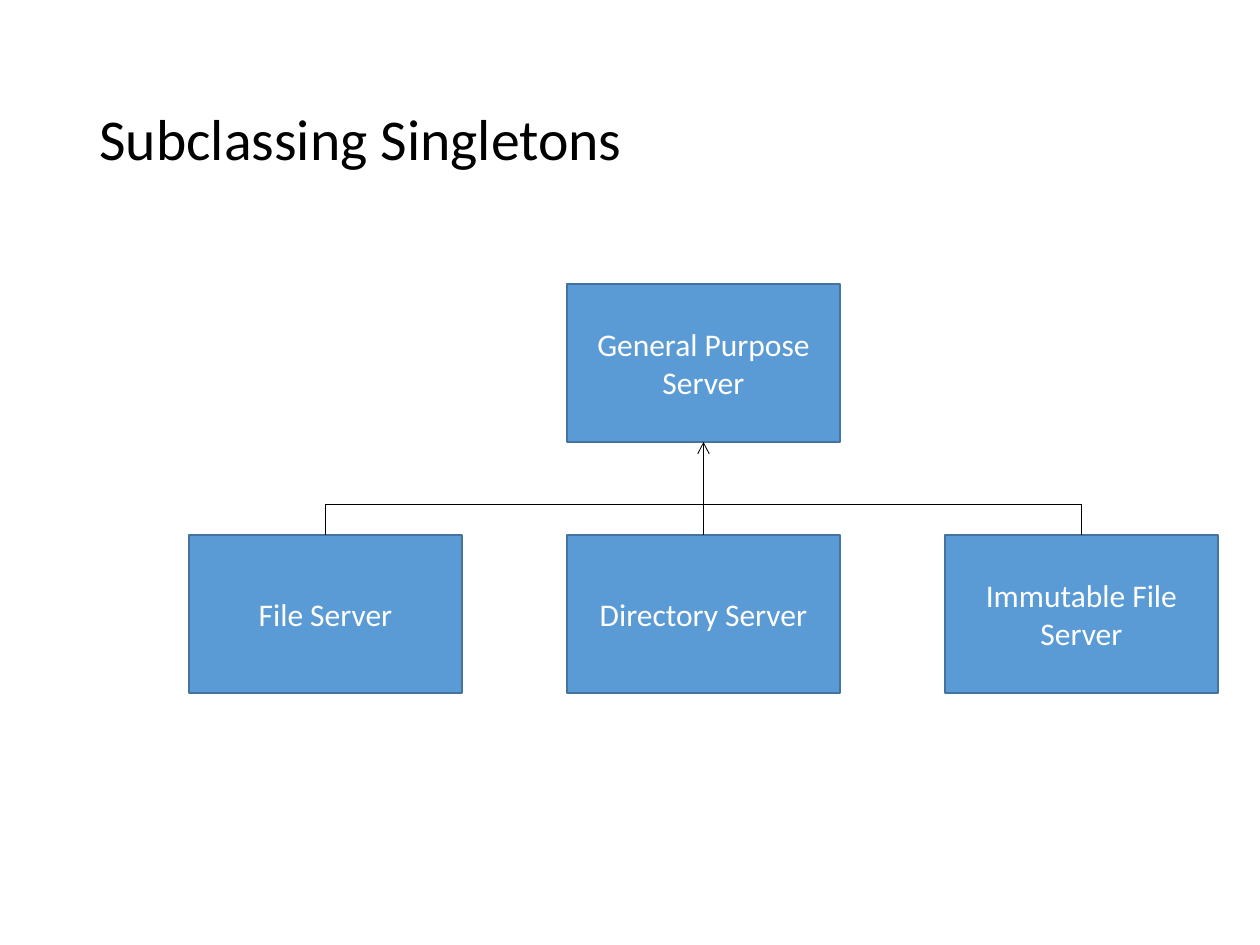
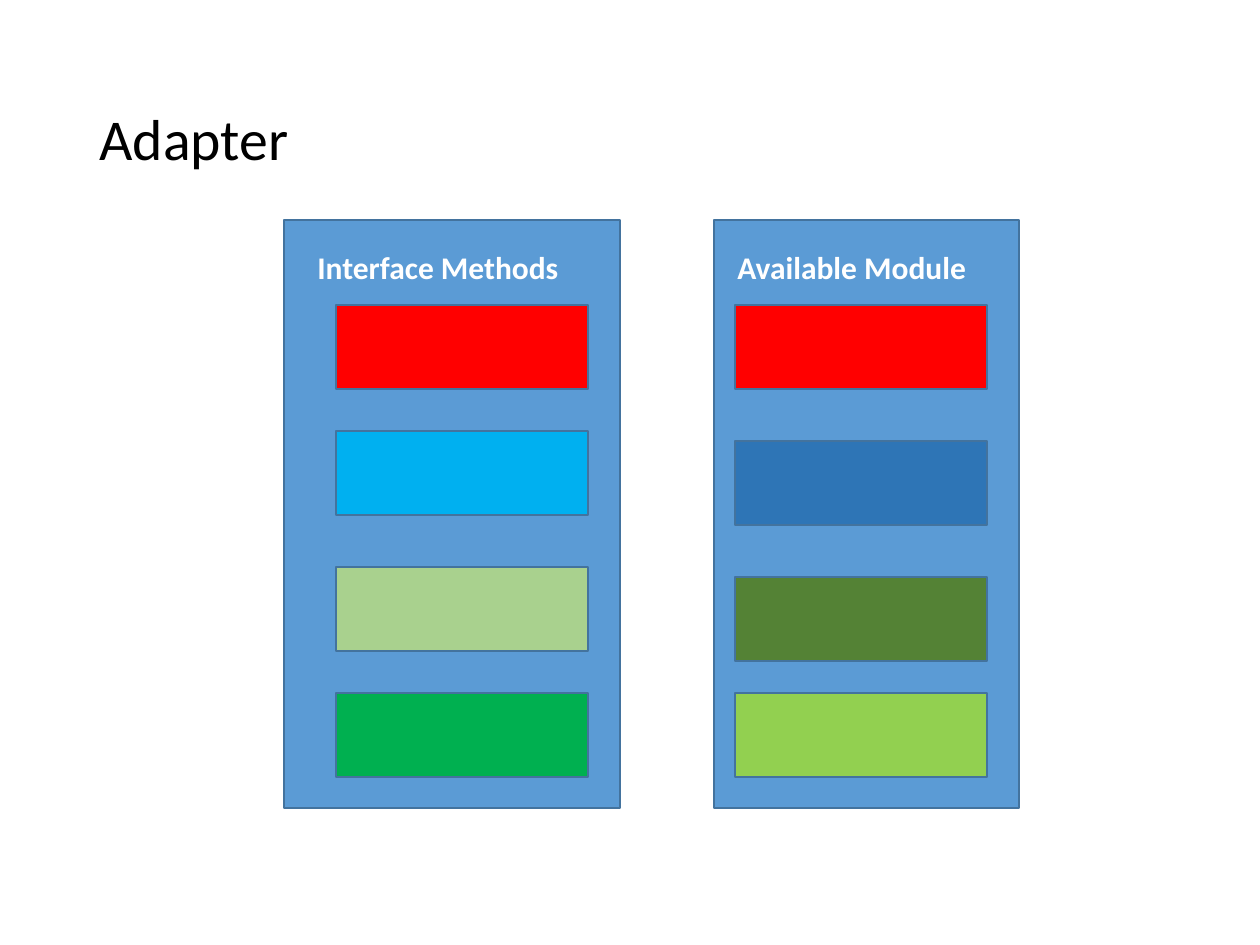
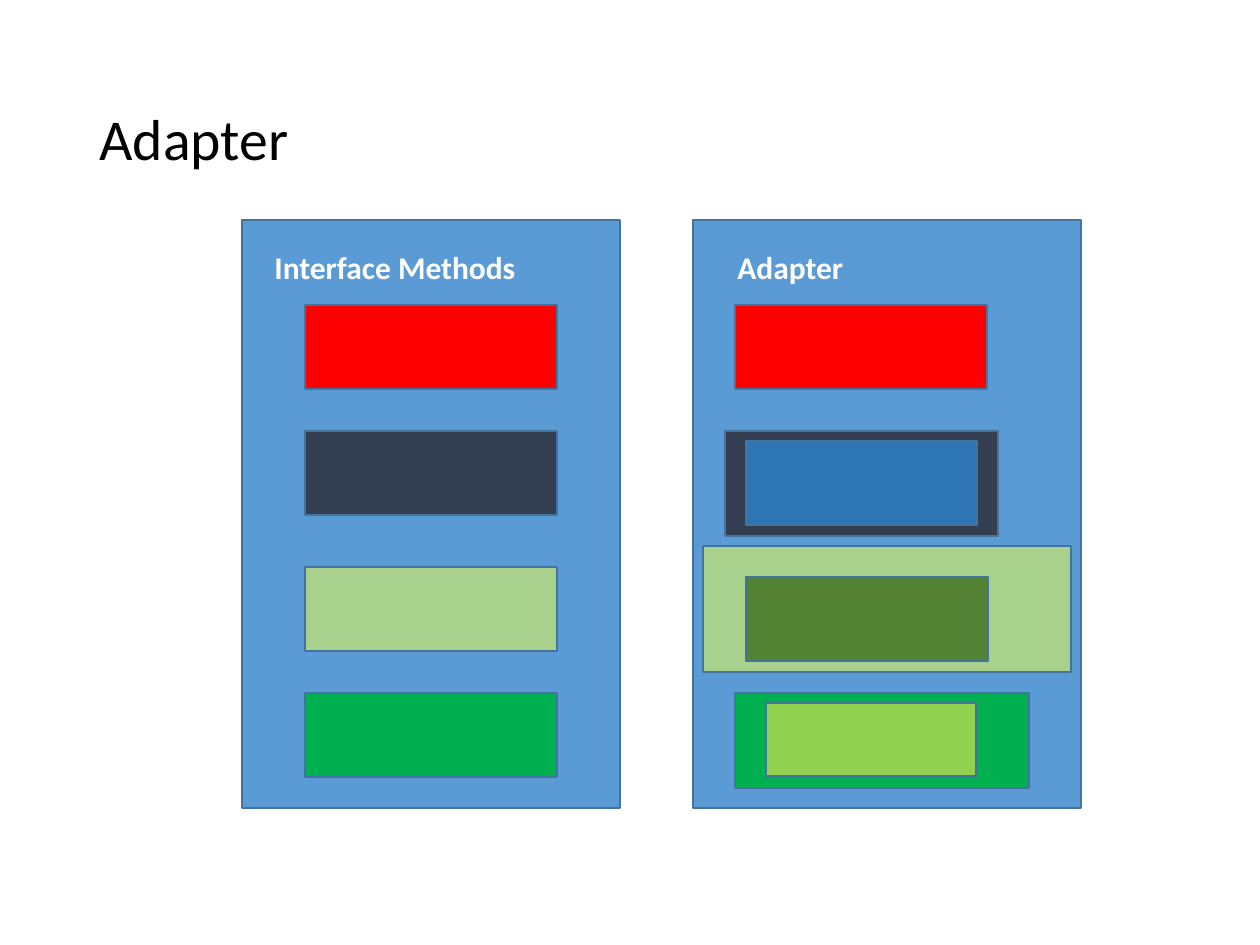
from lxml.etree import SubElement
from pptx import Presentation
from pptx.dml.color import RGBColor
from pptx.enum.shapes import MSO_CONNECTOR, MSO_SHAPE
from pptx.enum.text import MSO_ANCHOR, PP_ALIGN
from pptx.oxml.ns import qn
from pptx.util import Emu, Pt

EMU_PER_PIXEL = 914400 / 126
FONT = "Calibri"

BLACK = RGBColor(0x00, 0x00, 0x00)
WHITE = RGBColor(0xFF, 0xFF, 0xFF)
BLUE = RGBColor(0x5B, 0x9B, 0xD5)
OUTLINE = RGBColor(0x43, 0x73, 0x9E)
RED = RGBColor(0xFF, 0x00, 0x00)
SKY = RGBColor(0x00, 0xB0, 0xF0)
SLATE = RGBColor(0x33, 0x3F, 0x50)
DEEP_BLUE = RGBColor(0x2E, 0x75, 0xB6)
PALE_GREEN = RGBColor(0xA9, 0xD1, 0x8E)
GREEN = RGBColor(0x00, 0xB0, 0x50)
OLIVE = RGBColor(0x54, 0x82, 0x35)
LIME = RGBColor(0x92, 0xD0, 0x50)

# Content: server hierarchy
PARENT = ["General Purpose Server"]
CHILDREN = [["File Server"], ["Directory Server"], ["Immutable File", "Server"]]

# Content: each panel has its span (left, width), its heading with span, and bars
BAR_WIDTH, BAR_HEIGHT = 252, 84
METHOD_TOPS = [305, 431, 567, 693]
MODULE_TOPS = [305, 441, 577, 693]


def bar_column(left, tops, colours):
    """List equal bars, one below another, as (left, top, width, height, colour)."""
    return [(left, top, BAR_WIDTH, BAR_HEIGHT, colour)
            for top, colour in zip(tops, colours)]


MODULE_PANELS = [
    {"span": (284, 336), "heading": "Interface Methods", "heading_span": (305, 305),
     "bars": bar_column(336, METHOD_TOPS, [RED, SKY, PALE_GREEN, GREEN])},
    {"span": (714, 305), "heading": "Available Module", "heading_span": (725, 368),
     "bars": bar_column(735, MODULE_TOPS, [RED, DEEP_BLUE, OLIVE, LIME])},
]
ADAPTER_PANELS = [
    {"span": (242, 378), "heading": "Interface Methods", "heading_span": (262, 325),
     "bars": bar_column(305, METHOD_TOPS, [RED, SLATE, PALE_GREEN, GREEN])},
    {"span": (693, 388), "heading": "Adapter", "heading_span": (725, 368),
     "bars": bar_column(735, METHOD_TOPS[:1], [RED]) + [
         (725, 431, 273, 105, SLATE), (746, 441, 231, 84, DEEP_BLUE),
         (703, 546, 368, 126, PALE_GREEN), (746, 577, 242, 84, OLIVE),
         (735, 693, 294, 95, GREEN), (766, 703, 210, 73, LIME)]},
]

# Layout
PANEL_TOP, PANEL_HEIGHT = 220, 588
HEADING_TOP, HEADING_HEIGHT = 242, 53
SERVER_WIDTH, SERVER_HEIGHT, SERVER_PITCH = 273, 158, 378
SERVER_LEFT, PARENT_TOP, CHILD_TOP, JUNCTION_Y = 189, 284, 535, 504


def px(*lengths):
    """Turn pixel lengths into EMU."""
    return [Emu(round(length * EMU_PER_PIXEL)) for length in lengths]


def style(paragraph, size, colour, bold=False):
    """Set the font of a whole paragraph."""
    font = paragraph.font
    font.name, font.size, font.bold = FONT, Pt(size), bold
    font.color.rgb = colour


def add_label(slide, text, box, size, colour, bold=False):
    """Add a wrapping text box of one paragraph and return its frame."""
    frame = slide.shapes.add_textbox(*px(*box)).text_frame
    frame.word_wrap = True
    frame.text = text
    style(frame.paragraphs[0], size, colour, bold)
    return frame


def add_titled_slide(title):
    """Add a blank slide with the shared title."""
    slide = deck.slides.add_slide(deck.slide_layouts[6])
    frame = add_label(slide, title, (87, 50, 1086, 183), 33, BLACK)
    frame.vertical_anchor = MSO_ANCHOR.MIDDLE
    frame.paragraphs[0].line_spacing = 0.9
    return slide


def add_box(slide, box, colour, lines=()):
    """Add an outlined rectangle with optional centred lines of text."""
    shape = slide.shapes.add_shape(MSO_SHAPE.RECTANGLE, *px(*box))
    shape.shadow.inherit = False
    shape.fill.solid()
    shape.fill.fore_color.rgb = colour
    shape.line.color.rgb = OUTLINE
    shape.line.width = Pt(1)
    if lines:
        frame = shape.text_frame
        frame.text = "\n".join(lines)
        frame.vertical_anchor = MSO_ANCHOR.MIDDLE
        for paragraph in frame.paragraphs:
            paragraph.alignment = PP_ALIGN.CENTER
            style(paragraph, 18, WHITE)


def add_line(slide, start, end, arrow=False):
    """Add a thin black line, with an open arrowhead at its end if asked."""
    line = slide.shapes.add_connector(MSO_CONNECTOR.STRAIGHT, *px(*start, *end))
    line.line.color.rgb = BLACK
    line.line.width = Pt(0.5)
    properties = line._element.spPr
    if arrow:
        SubElement(properties.find(qn("a:ln")), qn("a:tailEnd"), type="arrow")
    SubElement(properties, qn("a:effectLst"))


def add_hierarchy(slide):
    """Draw the child servers, their parent above the middle one, and the tree."""
    lefts = [SERVER_LEFT + i * SERVER_PITCH for i in range(len(CHILDREN))]
    centres = [left + SERVER_WIDTH / 2 for left in lefts]
    for left, lines in zip(lefts, CHILDREN):
        add_box(slide, (left, CHILD_TOP, SERVER_WIDTH, SERVER_HEIGHT), BLUE, lines)
    add_box(slide, (lefts[1], PARENT_TOP, SERVER_WIDTH, SERVER_HEIGHT), BLUE, PARENT)
    first, middle, last = centres
    add_line(slide, (middle, CHILD_TOP), (middle, PARENT_TOP + SERVER_HEIGHT), arrow=True)
    for centre in (first, last):
        add_line(slide, (centre, CHILD_TOP), (centre, JUNCTION_Y))
    add_line(slide, (first, JUNCTION_Y), (last, JUNCTION_Y))


def add_panels(slide, panels):
    """Draw each panel with its heading and bars."""
    for panel in panels:
        left, width = panel["span"]
        add_box(slide, (left, PANEL_TOP, width, PANEL_HEIGHT), BLUE)
        for *box, colour in panel["bars"]:
            add_box(slide, box, colour)
        left, width = panel["heading_span"]
        add_label(slide, panel["heading"], (left, HEADING_TOP, width, HEADING_HEIGHT),
                  18, WHITE, bold=True)


deck = Presentation()
deck.slide_width, deck.slide_height = px(1260, 945)
add_hierarchy(add_titled_slide("Subclassing Singletons"))
for panels in (MODULE_PANELS, ADAPTER_PANELS):
    add_panels(add_titled_slide("Adapter"), panels)
deck.save("out.pptx")
